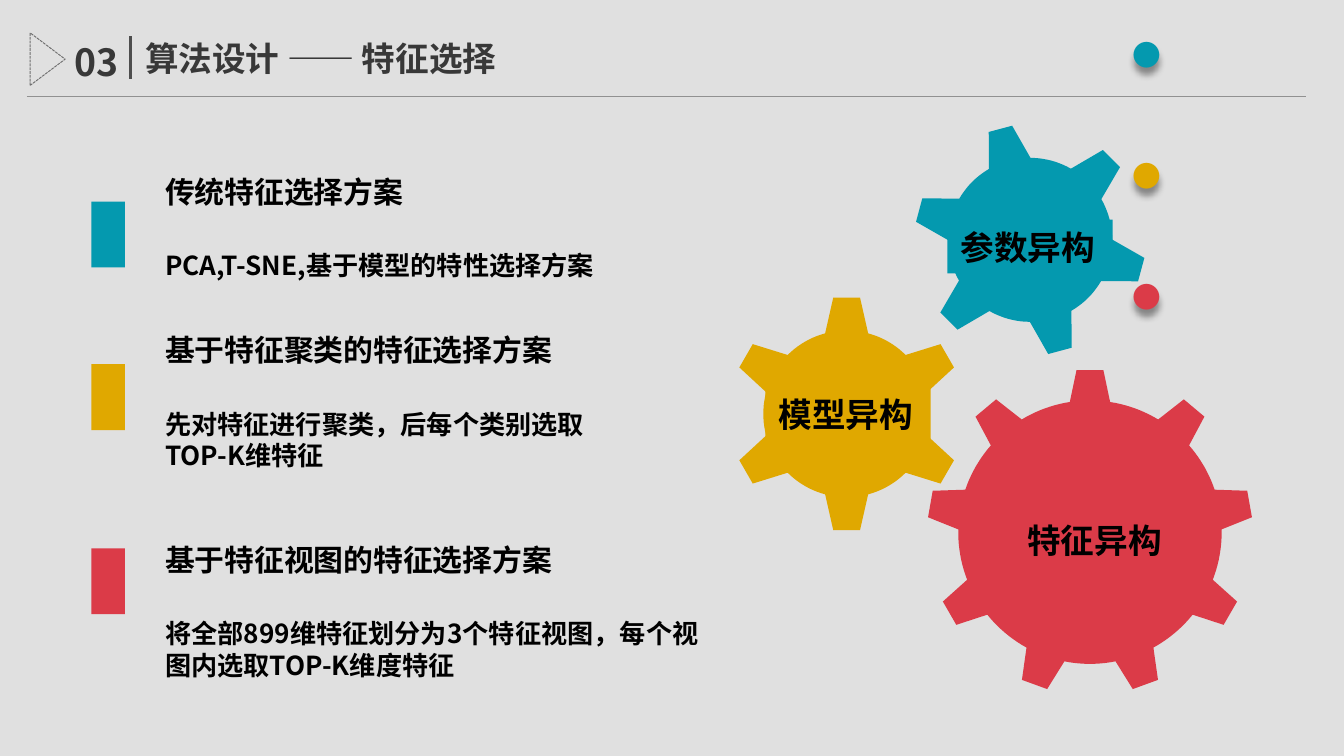
from dataclasses import dataclass
from math import asin, cos, pi, sin

from lxml.etree import SubElement
from pptx import Presentation
from pptx.dml.color import RGBColor
from pptx.enum.dml import MSO_LINE
from pptx.enum.shapes import MSO_CONNECTOR, MSO_SHAPE
from pptx.enum.text import MSO_ANCHOR, MSO_AUTO_SIZE, PP_ALIGN
from pptx.oxml.ns import qn
from pptx.util import Inches, Pt


@dataclass(frozen=True)
class Theme:
    """Slide size, colours, type sizes and font."""
    width: float = 10
    height: float = 10 * 9 / 16
    teal: str = "05AFC8"
    amber: str = "FFC000"
    red: str = "FA4453"
    black: str = "000000"
    title: str = "404040"
    divider: str = "595959"
    outline: str = "808080"
    rule: str = "A6A6A6"
    white: str = "FFFFFF"
    font: str = "Noto Sans CJK SC"
    number_size: int = 20
    title_size: int = 18
    heading_size: int = 16
    body_size: int = 14
    dot_size: int = 54
    line_height: float = 1.2


THEME = Theme()


def write(paragraph, text, size, color=THEME.black, align=PP_ALIGN.LEFT, before=0):
    """Add one bold run to a paragraph and set the paragraph's format."""
    paragraph.alignment = align
    paragraph.line_spacing = Pt(size * THEME.line_height)
    paragraph.space_before = Pt(before)
    run = paragraph.add_run()
    run.text = text
    run.font.size = Pt(size)
    run.font.bold = True
    run.font.color.rgb = RGBColor.from_string(color)
    run.font.name = THEME.font
    SubElement(run.font._element, qn("a:ea"), typeface=THEME.font)


def place(shape, left, top, width, height):
    """Move and size a shape, in inches."""
    shape.left, shape.top = Inches(left), Inches(top)
    shape.width, shape.height = Inches(width), Inches(height)


def add_text_box(slide, left, top, width, height):
    """Add a wrapping text box."""
    box = slide.shapes.add_textbox(Inches(left), Inches(top), Inches(width), Inches(height))
    box.text_frame.word_wrap = True
    return box


def paint(shape, color):
    """Give a shape a plain fill without line or shadow."""
    shape.shadow.inherit = False
    shape.fill.solid()
    shape.fill.fore_color.rgb = RGBColor.from_string(color)
    shape.line.fill.background()


def add_block(slide, left, top, width, height, color):
    """Add a plain filled rectangle."""
    block = slide.shapes.add_shape(
        MSO_SHAPE.RECTANGLE, Inches(left), Inches(top), Inches(width), Inches(height))
    paint(block, color)
    return block


def add_line(slide, start, end, color, weight):
    """Add a straight line without shadow."""
    line = slide.shapes.add_connector(
        MSO_CONNECTOR.STRAIGHT, *(Inches(value) for value in (*start, *end)))
    line.line.color.rgb = RGBColor.from_string(color)
    line.line.width = Pt(weight)
    SubElement(line._element.spPr, qn("a:effectLst"))


def add_header(slide, left, top, width):
    """Place the section marker, number, title and rule."""
    marker = slide.shapes.add_shape(
        MSO_SHAPE.FLOWCHART_MERGE, Inches(left - 0.04), Inches(top + 0.08), Inches(0.39), Inches(0.26))
    marker.rotation = 270
    marker.shadow.inherit = False
    marker.fill.background()
    marker.line.color.rgb = RGBColor.from_string(THEME.outline)
    marker.line.width = Pt(0.5)
    marker.line.dash_style = MSO_LINE.SQUARE_DOT

    number = add_text_box(slide, left - 0.08, top + 0.01, 0.86, 0.44)
    write(number.text_frame.paragraphs[0], "03", THEME.number_size, THEME.title, PP_ALIGN.RIGHT)

    title = slide.shapes.title
    place(title, left + 0.78, top, 3.31, 0.4)
    title.text_frame.auto_size = MSO_AUTO_SIZE.NONE
    title.text_frame.vertical_anchor = MSO_ANCHOR.TOP
    write(title.text_frame.paragraphs[0], "算法设计 —— 特征选择", THEME.title_size, THEME.title)

    add_line(slide, (left + 0.77, top + 0.04), (left + 0.77, top + 0.36), THEME.divider, 1.5)
    add_line(slide, (left, top + 0.49), (left + width, top + 0.49), THEME.rule, 0.75)


def add_section(slide, left, top, width, height, marker_offset, color, heading, lines):
    """Place a colour marker beside a heading and its text."""
    add_block(slide, left, top + marker_offset, 0.25, 0.49, color)
    frame = add_text_box(slide, left + 0.45, top, width - 0.45, height).text_frame
    write(frame.paragraphs[0], heading, THEME.heading_size)
    for index, line in enumerate(lines):
        write(frame.add_paragraph(), line, THEME.body_size, before=0 if index else 21.6)


def gear_points(center_x, center_y, teeth, turn, body, tip, base_half, tip_half):
    """Return the outline points of a gear."""
    base_angle, tip_angle = asin(base_half / body), asin(tip_half / tip)
    pitch, steps = 2 * pi / teeth, 10
    gap = pitch - 2 * base_angle
    points = []
    for tooth in range(teeth):
        middle = tooth * pitch + turn * pi / 180
        polar = [(tip, middle - tip_angle), (tip, middle + tip_angle)]
        polar += [(body, middle + base_angle + gap * step / steps) for step in range(steps + 1)]
        points += [(Inches(center_x + radius * sin(angle)), Inches(center_y - radius * cos(angle)))
                   for radius, angle in polar]
    return points


def add_gear(slide, left, top, size, color, label, label_shift, **outline):
    """Place a gear in a square box with a label near its centre."""
    center_x, center_y = left + size / 2, top + size / 2
    points = gear_points(center_x, center_y, **outline)
    builder = slide.shapes.build_freeform(*points[0], scale=1.0)
    builder.add_line_segments(points[1:], close=True)
    paint(builder.convert_to_shape(), color)

    shift_x, shift_y = label_shift
    width, height = 1.23, 0.4
    plate = add_block(slide, center_x + shift_x - width / 2, center_y + shift_y - height / 2,
                      width, height, color)
    plate.text_frame.word_wrap = True
    plate.text_frame.vertical_anchor = MSO_ANCHOR.MIDDLE
    write(plate.text_frame.paragraphs[0], label, THEME.title_size)


def add_dots(slide, left, top, width, height):
    """Place the three coloured dots with a soft shadow."""
    box = add_text_box(slide, left, top, width, height)
    paragraph = box.text_frame.paragraphs[0]
    for text, color in (("· ", THEME.teal), ("· ", THEME.amber), ("·", THEME.red)):
        write(paragraph, text, THEME.dot_size, color, PP_ALIGN.JUSTIFY)
    effects = SubElement(box._element.spPr, qn("a:effectLst"))
    shadow = SubElement(effects, qn("a:outerShdw"), blurRad=str(Inches(0.05)),
                        dist=str(Inches(0.05)), dir="5400000", algn="t", rotWithShape="0")
    shade = SubElement(shadow, qn("a:srgbClr"), val=THEME.black)
    SubElement(shade, qn("a:alpha"), val="40000")


def add_veil(slide, width, height):
    """Dim the whole slide with a translucent sheet."""
    veil = add_block(slide, 0, 0, width, height, THEME.black)
    color = veil._element.spPr.find(qn("a:solidFill"))[0]
    SubElement(color, qn("a:alpha"), val="12000")


def main():
    """Build and save the feature selection slide."""
    presentation = Presentation()
    presentation.slide_width = Inches(THEME.width)
    presentation.slide_height = Inches(THEME.height)
    slide = presentation.slides.add_slide(presentation.slide_layouts[5])
    slide.background.fill.solid()
    slide.background.fill.fore_color.rgb = RGBColor.from_string(THEME.white)

    add_gear(slide, 5.41, 2.19, 1.78, THEME.amber, "模型异构", (0.01, 0),
             teeth=6, turn=0, body=0.62, tip=0.87, base_half=0.16, tip_half=0.1)
    add_gear(slide, 6.89, 2.74, 2.44, THEME.red, "特征异构", (0.05, 0.06),
             teeth=9, turn=0, body=0.98, tip=1.21, base_half=0.15, tip_half=0.1)
    add_gear(slide, 6.6, 0.72, 2.13, THEME.teal, "参数异构", (0, 0.05),
             teeth=6, turn=-15, body=0.61, tip=0.86, base_half=0.16, tip_half=0.09)

    sections = (
        (1.24, 0.91, 0.26, THEME.teal, "传统特征选择方案",
         ["PCA,T-SNE,基于模型的特性选择方案"]),
        (2.42, 1.18, 0.29, THEME.amber, "基于特征聚类的特征选择方案",
         ["先对特征进行聚类，后每个类别选取", "TOP-K维特征"]),
        (3.98, 1.14, 0.1, THEME.red, "基于特征视图的特征选择方案",
         ["将全部899维特征划分为3个特征视图，每个视图内选取TOP-K维度特征"]),
    )
    for top, height, *content in sections:
        add_section(slide, 0.68, top, 4.69, height, *content)

    add_header(slide, 0.2, 0.23, 9.52)
    add_dots(slide, 8.06, -0.1, 1.65, 1.01)
    add_veil(slide, THEME.width, THEME.height)
    presentation.save("out.pptx")


if __name__ == "__main__":
    main()
